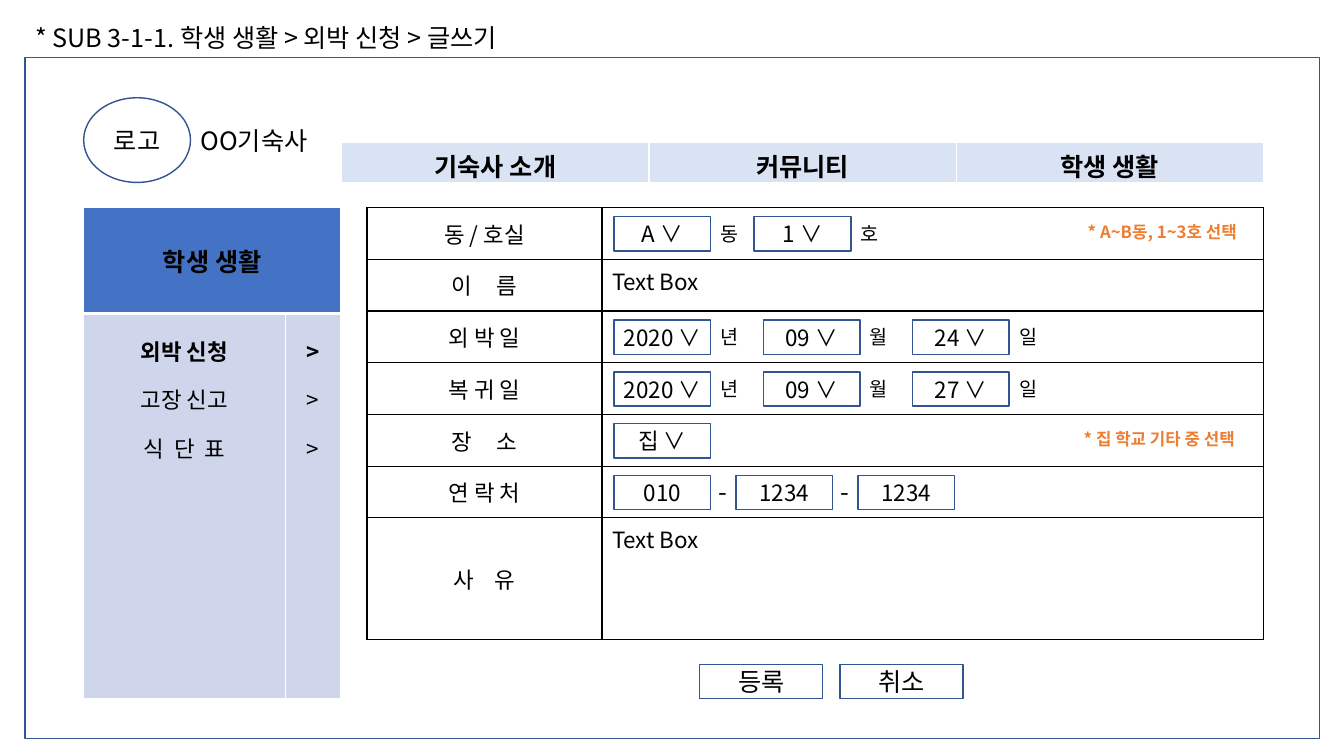
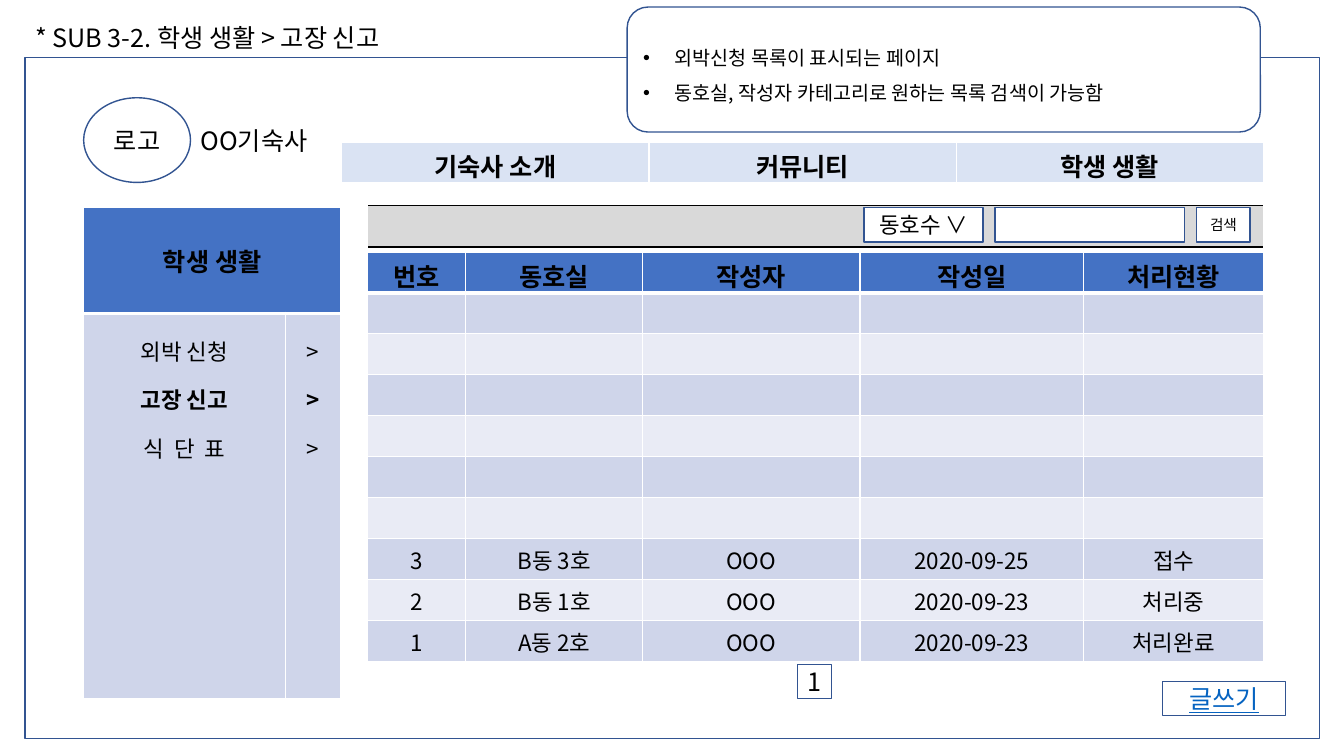
from pptx import Presentation
from pptx import util as u
from pptx.dml import color
from pptx.enum import shapes, text
from pptx.oxml import ns
from lxml import etree

FONT = "Noto Sans CJK KR"
BLACK, WHITE, OUTLINE, LINK = "000000", "FFFFFF", "325491", "0563C1"
ACCENT, BAND, PALE, NAV = "4472C4", "CFD5EA", "E9EBF5", "DAE3F3"
GREY, HINT = "D9D9D9", "ED7D31"
CENTER, LEFT = text.PP_ALIGN.CENTER, text.PP_ALIGN.LEFT
TOP, MIDDLE = text.MSO_ANCHOR.TOP, text.MSO_ANCHOR.MIDDLE
RECT = shapes.MSO_SHAPE.RECTANGLE
FIELD_LEFT, FIELD_TOP, FIELD_WIDTH, FIELD_HEIGHT = 6.09, 2.15, 0.96, 0.34
CONTENT_LEFT, CONTENT_WIDTH = 3.64, 8.89
REASON_HEIGHT = 1.21
FORM_ROW = (4.29 - REASON_HEIGHT) / 6
SECTIONS = ["외박 신청", "고장 신고", "식 단 표"]


def rgb(value):
    return color.RGBColor.from_string(value)


def edges(tone, top=1, bottom=1, side_tone=None):
    side = side_tone or tone
    return {"L": (side, 1), "R": (side, 1), "T": (tone, top), "B": (tone, bottom)}


class Wireframe:
    """Draws the dormitory site's page elements on the current slide."""

    def __init__(self):
        self.deck = Presentation()
        self.deck.slide_width = u.Inches(13.33)
        self.deck.slide_height = u.Inches(7.5)
        self.slide = None

    def typeset(self, frame, content, size=18, tone=BLACK, bold=False, align=CENTER,
                spacing=None, tracking=0, underline=False, bold_line=None):
        frame.text = content
        for index, paragraph in enumerate(frame.paragraphs):
            paragraph.alignment = align
            if spacing:
                paragraph.line_spacing = spacing
            for run in paragraph.runs:
                font = run.font
                font.size = u.Pt(size)
                font.bold = bold or index == bold_line
                font.underline = underline
                font.color.rgb = rgb(tone)
                font.name = FONT
                props = run._r.get_or_add_rPr()
                etree.SubElement(props, ns.qn("a:ea")).set("typeface", FONT)
                if tracking:
                    props.set("spc", str(int(tracking * 100)))

    def box(self, left, top, width, height, content="", fill=WHITE, kind=RECT,
            margin=0.05, **style):
        shape = self.slide.shapes.add_shape(
            kind, u.Inches(left), u.Inches(top), u.Inches(width), u.Inches(height))
        shape.shadow.inherit = False
        if fill:
            shape.fill.solid()
            shape.fill.fore_color.rgb = rgb(fill)
        else:
            shape.fill.background()
        shape.line.color.rgb = rgb(OUTLINE)
        shape.line.width = u.Pt(1)
        frame = shape.text_frame
        frame.margin_left = frame.margin_right = u.Inches(margin)
        frame.vertical_anchor = MIDDLE
        if content:
            self.typeset(frame, content, **style)
        return frame

    def label(self, left, top, width, height, content, wrap=False, **style):
        frame = self.slide.shapes.add_textbox(
            u.Inches(left), u.Inches(top), u.Inches(width), u.Inches(height)).text_frame
        frame.word_wrap = wrap
        frame.auto_size = text.MSO_AUTO_SIZE.SHAPE_TO_FIT_TEXT
        self.typeset(frame, content, align=LEFT, **style)

    def table(self, left, top, columns, rows):
        grid = self.slide.shapes.add_table(
            len(rows), len(columns), u.Inches(left), u.Inches(top),
            u.Inches(sum(columns)), u.Inches(sum(rows))).table
        grid.first_row = grid.horz_banding = False
        for column, width in zip(grid.columns, columns):
            column.width = u.Inches(width)
        for row, height in zip(grid.rows, rows):
            row.height = u.Inches(height)
        return grid

    def cell(self, cell, content, fill, borders, anchor=MIDDLE, **style):
        props = cell._tc.get_or_add_tcPr()
        for side in "LRTB":
            tone, weight = borders[side]
            edge = etree.SubElement(props, ns.qn(f"a:ln{side}"), w=str(u.Pt(weight)))
            paint = etree.SubElement(edge, ns.qn("a:solidFill"))
            etree.SubElement(paint, ns.qn("a:srgbClr"), val=tone)
        if fill:
            cell.fill.solid()
            cell.fill.fore_color.rgb = rgb(fill)
        else:
            cell.fill.background()
        cell.vertical_anchor = anchor
        if content:
            self.typeset(cell.text_frame, content, **style)

    def page(self, breadcrumb, breadcrumb_width, current):
        self.slide = self.deck.slides.add_slide(self.deck.slide_layouts[6])
        self.box(0.25, 0.57, 12.84, 6.76, fill=None)
        self.label(0.25, 0.17, breadcrumb_width, 0.4, breadcrumb)
        self.box(0.83, 0.97, 1.06, 0.84, "로고", fill=None, kind=shapes.MSO_SHAPE.OVAL)
        self.label(1.89, 1.19, 1.5, 0.4, "OO기숙사", wrap=True)
        menu = ["기숙사 소개", "커뮤니티", "학생 생활"]
        navigation = self.table(3.39, 1.41, [9.14 / len(menu)] * len(menu), [0.41])
        for cell, entry in zip(navigation.rows[0].cells, menu):
            self.cell(cell, entry, NAV, edges(WHITE, bottom=3), anchor=TOP, bold=True)
        self.sidebar(current)

    def sidebar(self, current):
        grid = self.table(0.83, 2.06, [2, 0.55], [1.05, 3.82])
        grid.cell(0, 0).merge(grid.cell(0, 1))
        for cell, heading in zip(grid.rows[0].cells, ["학생 생활", ""]):
            self.cell(cell, heading, ACCENT, edges(WHITE, bottom=3), bold=True)
        for cell, entries in zip(grid.rows[1].cells, [SECTIONS, [">"] * len(SECTIONS)]):
            self.cell(cell, "\n".join(entries), BAND, edges(WHITE, top=3), anchor=TOP,
                      size=16, spacing=1.5, bold_line=current)
        for run in grid.cell(1, 0).text_frame.paragraphs[2].runs:
            run._r.get_or_add_rPr().set("spc", "180")

    def fields(self, row, step, entries):
        top = FIELD_TOP + row * FORM_ROW
        for index, (value, unit) in enumerate(entries):
            left = FIELD_LEFT + index * step
            self.box(left, top, FIELD_WIDTH, FIELD_HEIGHT, value, size=16)
            if unit == "-":
                self.label(left + 0.94, top - 0.04, 0.31, 0.4, unit)
            elif unit:
                self.label(left + FIELD_WIDTH, top, 0.4, 0.34, unit, size=14)

    def hint(self, left, row, content):
        self.label(left, FIELD_TOP + row * FORM_ROW, 2.04, 0.3, content, wrap=True,
                   size=12, tone=HINT, bold=True)

    def callout(self, content):
        frame = self.box(6.22, 0.07, 6.28, 1.24, content, margin=0.1, size=14,
                         align=LEFT, spacing=1.5, kind=shapes.MSO_SHAPE.ROUNDED_RECTANGLE)
        for paragraph in frame.paragraphs:
            props = paragraph._p.get_or_add_pPr()
            props.set("marL", str(u.Inches(0.31)))
            props.set("indent", str(-u.Inches(0.31)))
            etree.SubElement(props, ns.qn("a:buFont"), typeface="Arial")
            etree.SubElement(props, ns.qn("a:buChar"), char="•")


def overnight_form(site):
    site.page("* SUB 3-1-1. 학생 생활 > 외박 신청 > 글쓰기", 5.59, 0)
    rows = [("동 / 호실", 0, ""), ("이 름", 7, "Text Box"), ("외 박 일", 0, ""),
            ("복 귀 일", 0, ""), ("장 소", 7, ""), ("연 락 처", 0, ""),
            ("사 유", 5.5, "Text Box")]
    form = site.table(CONTENT_LEFT, 2.06, [2.33, 6.56], [FORM_ROW] * 6 + [REASON_HEIGHT])
    for row, (caption, tracking, entry) in zip(form.rows, rows):
        caption_cell, entry_cell = row.cells
        site.cell(caption_cell, caption, None, edges(BLACK), size=16, tracking=tracking)
        site.cell(entry_cell, entry, None, edges(BLACK), anchor=TOP, size=16, align=LEFT)
    for left, action in [(6.94, "등록"), (8.33, "취소")]:
        site.box(left, 6.59, 1.22, 0.34, action, fill=None)
    site.fields(0, 1.39, [("A ∨", "동"), ("1 ∨", "호")])
    for row, day in [(2, "24 ∨"), (3, "27 ∨")]:
        site.fields(row, 1.48, [("2020 ∨", "년"), ("09 ∨", "월"), (day, "일")])
    site.fields(4, 0, [("집 ∨", "")])
    site.fields(5, 1.21, [("010", "-"), ("1234", "-"), ("1234", "")])
    site.hint(10.69, 0, "* A~B동, 1~3호 선택")
    site.hint(10.65, 4, "* 집 학교 기타 중 선택")


def repair_list(site):
    site.page("* SUB 3-2. 학생 생활 > 고장 신고", 4.13, 1)
    site.box(7.91, 6.59, 0.34, 0.34, "1", fill=None)
    site.box(11.53, 6.76, 1.22, 0.34, "글쓰기", fill=None, tone=LINK, underline=True)
    search_bar = site.table(CONTENT_LEFT, 2.04, [CONTENT_WIDTH], [0.41])
    site.cell(search_bar.cell(0, 0), "", GREY, edges(BLACK, side_tone=WHITE))
    for left, width, content, size in [(9.87, 1.88, "", 16), (8.57, 1.18, "동호수 ∨", 16),
                                       (11.87, 0.53, "검색", 10.5)]:
        site.box(left, 2.06, width, 0.34, content, size=size)
    headings = ["번호", "동호실", "작성자", "작성일", "처리현황"]
    reports = [["3", "B동 3호", "OOO", "2020-09-25", "접수"],
               ["2", "B동 1호", "OOO", "2020-09-23", "처리중"],
               ["1", "A동 2호", "OOO", "2020-09-23", "처리완료"]]
    body = [[""] * len(headings)] * 6 + reports
    listing = site.table(CONTENT_LEFT, 2.5, [0.98, 1.75, 2.16, 2.22, 1.78],
                         [4.06 / (len(body) + 1)] * (len(body) + 1))
    for column, heading in enumerate(headings):
        site.cell(listing.cell(0, column), heading, ACCENT, edges(WHITE, bottom=3), bold=True)
    for index, report in enumerate(body):
        borders = edges(WHITE, top=1 if index else 3)
        for column, value in enumerate(report):
            site.cell(listing.cell(index + 1, column), value, PALE if index % 2 else BAND,
                      borders, size=16)
    site.callout("외박신청 목록이 표시되는 페이지\n"
                 "동호실, 작성자 카테고리로 원하는 목록 검색이 가능함")


def main():
    site = Wireframe()
    overnight_form(site)
    repair_list(site)
    site.deck.save("out.pptx")


if __name__ == "__main__":
    main()
